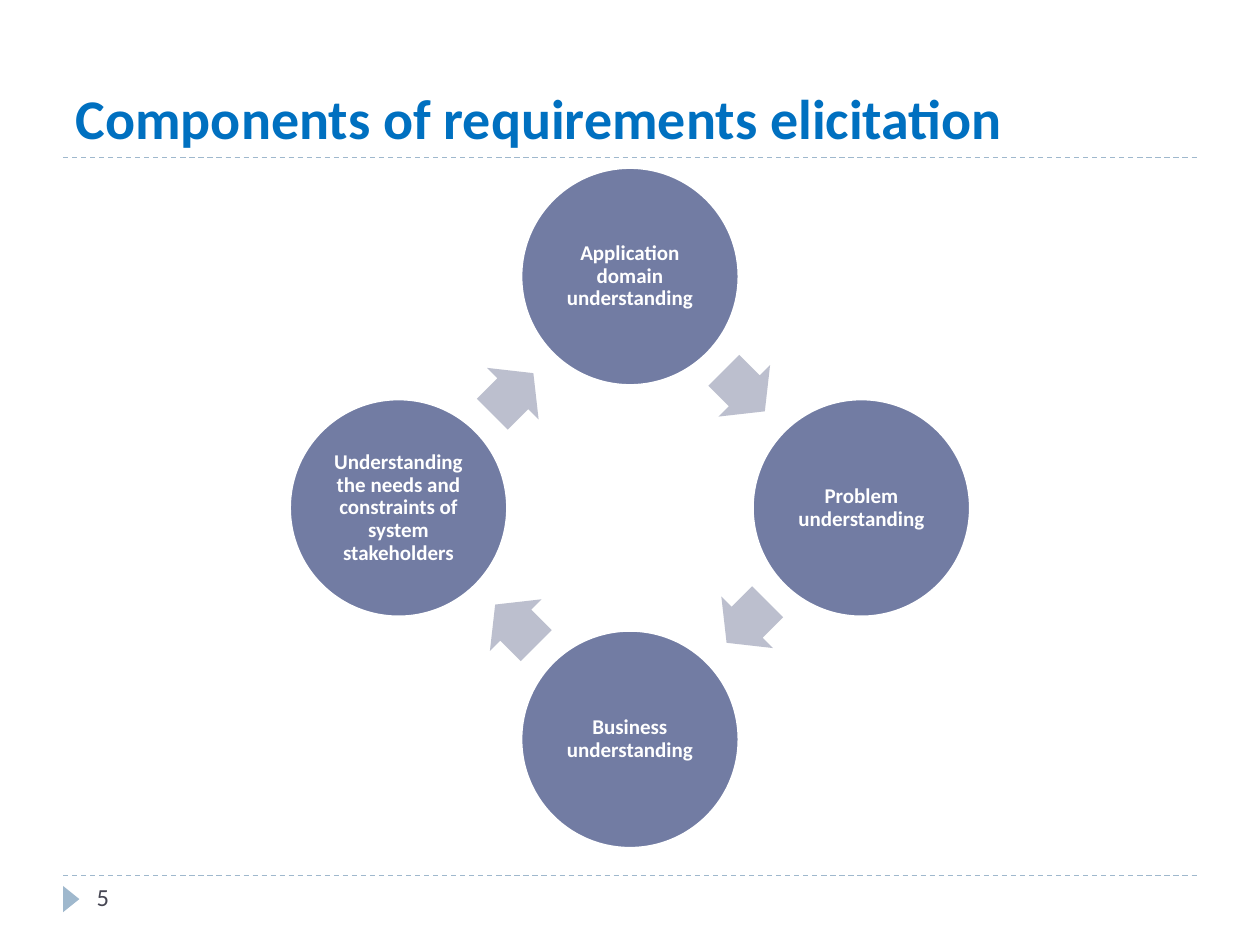
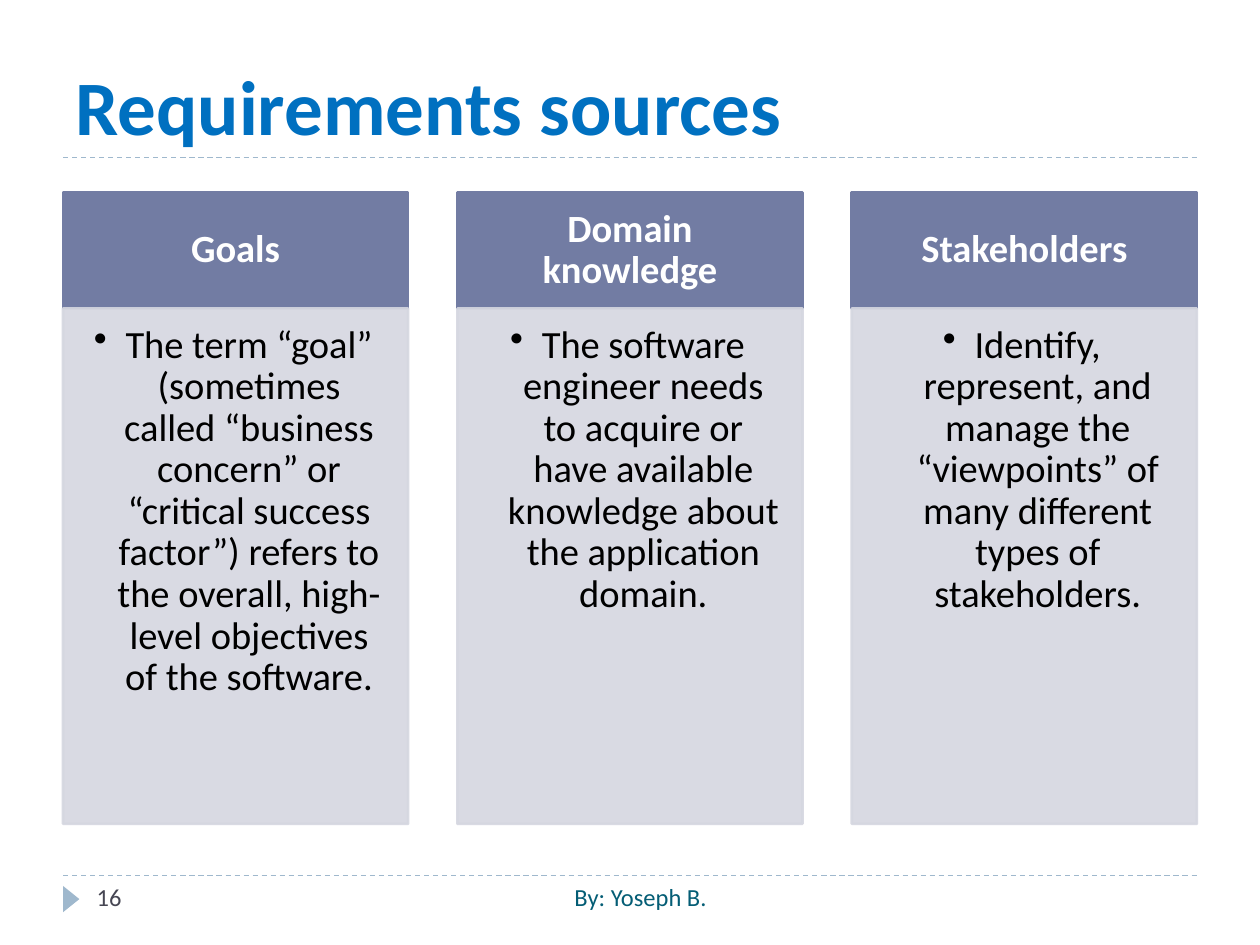
import dataclasses
import math

import lxml.etree
import pptx
import pptx.dml.color
import pptx.enum.dml
import pptx.enum.shapes
import pptx.enum.text
import pptx.oxml.ns
import pptx.util

Cm = pptx.util.Cm
Pt = pptx.util.Pt
Shape = pptx.enum.shapes.MSO_SHAPE
Align = pptx.enum.text.PP_ALIGN
Anchor = pptx.enum.text.MSO_ANCHOR
qn = pptx.oxml.ns.qn


@dataclasses.dataclass(frozen=True)
class Theme:
    font: str = "Calibri"
    title: str = "0070C0"
    rule: str = "9FB8CD"
    number: str = "464653"
    author: str = "045D75"
    main: str = "727CA3"
    arrow: str = "BCBFCE"
    pale: str = "D5D7E0"
    white: str = "FFFFFF"
    black: str = "000000"
    small: int = 12
    foot: int = 14
    card: int = 22
    head: int = 32
    large: int = 44
    thin: float = 0.75
    edge: float = 1.5


THEME = Theme()
LEFT, WIDTH = 1.27, 22.86
RULES = (3.18, 17.65)

CYCLE = (
    "Application domain understanding",
    "Problem understanding",
    "Business understanding",
    "Understanding the needs and constraints of system stakeholders",
)
CARDS = (
    ("Goals",
     "The term “goal” (sometimes called “business concern” or “critical success "
     "factor”) refers to the overall, high-level objectives of the software."),
    ("Domain knowledge",
     "The software engineer needs to acquire or have available knowledge about "
     "the application domain."),
    ("Stakeholders",
     "Identify, represent, and manage the “viewpoints” of many different types "
     "of stakeholders."),
)


def tint(code):
    return pptx.dml.color.RGBColor.from_string(code)


def write(shape, text, size, color, bold=False, align=Align.CENTER,
          anchor=Anchor.MIDDLE, pads=None, space=None):
    frame = shape.text_frame
    frame.word_wrap = True
    frame.auto_size = pptx.enum.text.MSO_AUTO_SIZE.NONE
    frame.vertical_anchor = anchor
    if pads:
        (frame.margin_left, frame.margin_top,
         frame.margin_right, frame.margin_bottom) = map(Cm, pads)
    para = frame.paragraphs[0]
    para.alignment = align
    if space:
        para.line_spacing = space
    run = para.add_run()
    run.text = text
    run.font.name = THEME.font
    run.font.size = Pt(size)
    run.font.bold = bold
    run.font.color.rgb = tint(color)
    return para


def draw(slide, kind, box, fill, line=None, turn=0):
    shape = slide.shapes.add_shape(kind, *map(Cm, box))
    shape.shadow.inherit = False
    shape.rotation = turn
    shape.fill.solid()
    shape.fill.fore_color.rgb = tint(fill)
    if line:
        shape.line.color.rgb = tint(line)
        shape.line.width = Pt(THEME.edge)
    else:
        shape.line.fill.background()
    return shape


def fade(shape, share):
    for color in shape.element.spPr.iter(qn("a:srgbClr")):
        lxml.etree.SubElement(color, qn("a:alpha")).set("val", str(share * 1000))


def bullet(para, indent):
    props = para._p.get_or_add_pPr()
    props.set("marL", str(Cm(indent)))
    props.set("indent", str(-Cm(indent)))
    lxml.etree.SubElement(props, qn("a:buChar")).set("char", "•")


def rule(slide, top):
    line = slide.shapes.add_connector(
        pptx.enum.shapes.MSO_CONNECTOR.STRAIGHT,
        Cm(LEFT), Cm(top), Cm(LEFT + WIDTH), Cm(top))
    line.line.color.rgb = tint(THEME.rule)
    line.line.width = Pt(THEME.thin)
    line.line.dash_style = pptx.enum.dml.MSO_LINE.DASH
    lxml.etree.SubElement(line.element.spPr, qn("a:effectLst"))


def footer(slide, box, text, color, align):
    note = slide.shapes.add_textbox(*map(Cm, box))
    write(note, text, THEME.foot, color, align=align, anchor=Anchor.TOP)


def start(deck, title, size, number, author=None):
    slide = deck.slides.add_slide(deck.slide_layouts[5])
    head = slide.shapes.title
    head.left, head.top, head.width, head.height = map(
        Cm, (LEFT, 0.43, WIDTH, 2.74))
    write(head, title, size, THEME.title, True, Align.LEFT, Anchor.BOTTOM)
    for top in RULES:
        rule(slide, top)
    draw(slide, Shape.ISOSCELES_TRIANGLE, (1.17, 17.96, 0.53, 0.33),
         THEME.rule, turn=90)
    footer(slide, (1.7, RULES[1], 5.51, 1.02), number, THEME.number, Align.LEFT)
    if author:
        footer(slide, (8.05, RULES[1], 9.73, 1.02), author, THEME.author,
               Align.CENTER)
    return slide


def cycle(slide, box, labels, disc=4.39):
    left, top, width, height = box
    mid_x, mid_y = left + width / 2, top + height / 2
    orbit = (width - disc) / 2
    step = 360 / len(labels)
    long, wide, back = 1.17, 1.47, 0.04
    for i, label in enumerate(labels):
        angle = math.radians(i * step - 90)
        x = mid_x + orbit * math.cos(angle)
        y = mid_y + orbit * math.sin(angle)
        ball = draw(slide, Shape.OVAL, (x - disc / 2, y - disc / 2, disc, disc),
                    THEME.main, THEME.white)
        write(ball, label, THEME.small, THEME.white, True,
              pads=(0.05,) * 4, space=0.9)

        turn = (i + 0.5) * step
        aim = math.radians(turn)
        reach = orbit * math.cos(math.radians(step / 2))
        x = mid_x + reach * math.sin(aim) - back * math.cos(aim)
        y = mid_y - reach * math.cos(aim) - back * math.sin(aim)
        arrow = draw(slide, Shape.RIGHT_ARROW,
                     (x - long / 2, y - wide / 2, long, wide),
                     THEME.arrow, turn=turn)
        arrow.adjustments[0], arrow.adjustments[1] = 0.6, 0.5


def card(slide, box, title, text, band=2.34):
    left, top, width, height = box
    head = draw(slide, Shape.RECTANGLE, (left, top, width, band),
                THEME.main, THEME.main)
    write(head, title, THEME.card, THEME.white, True,
          pads=(0.43, 0.25, 0.43, 0.25), space=0.9)
    body = draw(slide, Shape.RECTANGLE,
                (left, top + band, width, height - band),
                THEME.pale, THEME.pale)
    fade(body, 90)
    para = write(body, text, THEME.card, THEME.black, anchor=Anchor.TOP,
                 pads=(0.33, 0.33, 0.43, 0.48), space=0.9)
    bullet(para, 0.64)


def columns(slide, box, cards, wide=6.96):
    left, top, width, height = box
    step = (width - wide) / (len(cards) - 1)
    for i, (title, text) in enumerate(cards):
        card(slide, (left + i * step, top, wide, height), title, text)


def main():
    deck = pptx.Presentation()
    deck.slide_width, deck.slide_height = Cm(25.4), Cm(19.05)
    slide = start(deck, "Components of requirements elicitation",
                  THEME.head, "5")
    cycle(slide, (5.84, 3.38, 13.72, 13.72), CYCLE)
    slide = start(deck, "Requirements sources", THEME.large, "16",
                  "By: Yoseph B.")
    columns(slide, (LEFT, 3.88, WIDTH, 12.73), CARDS)
    deck.save("out.pptx")


if __name__ == "__main__":
    main()
